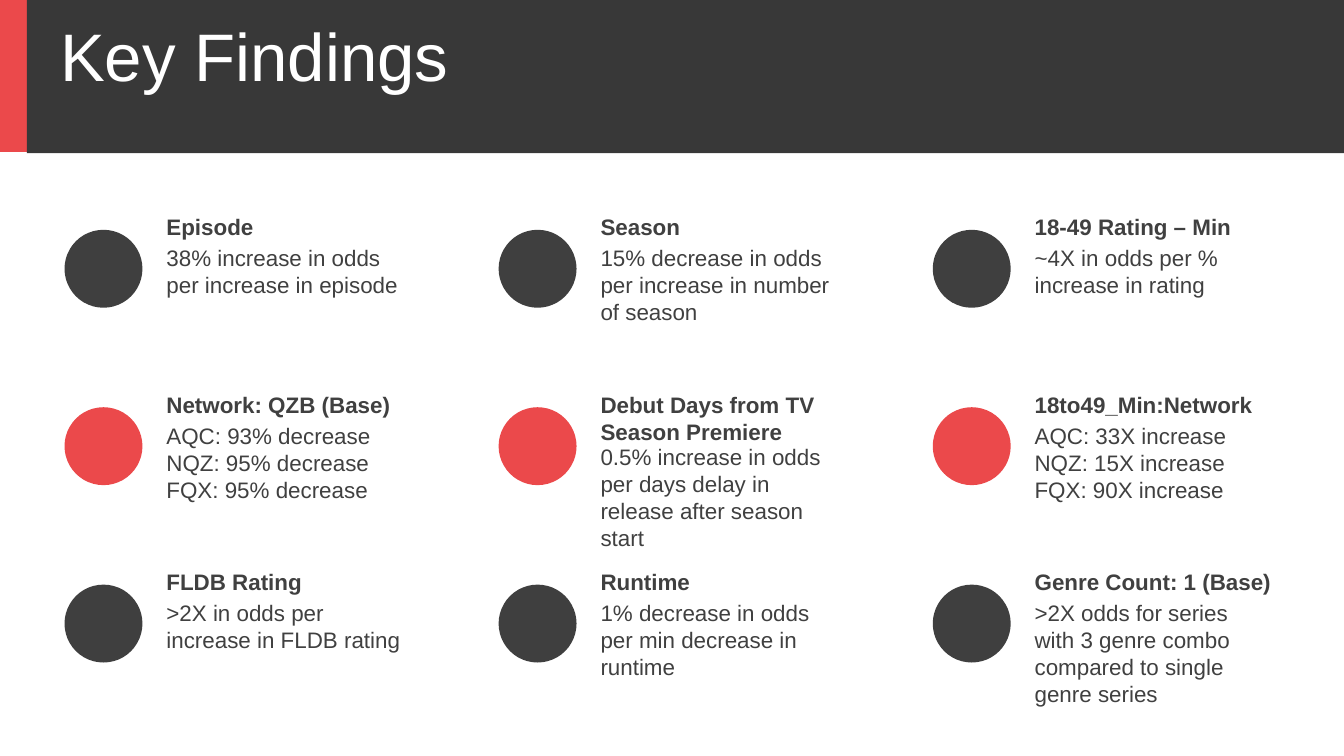
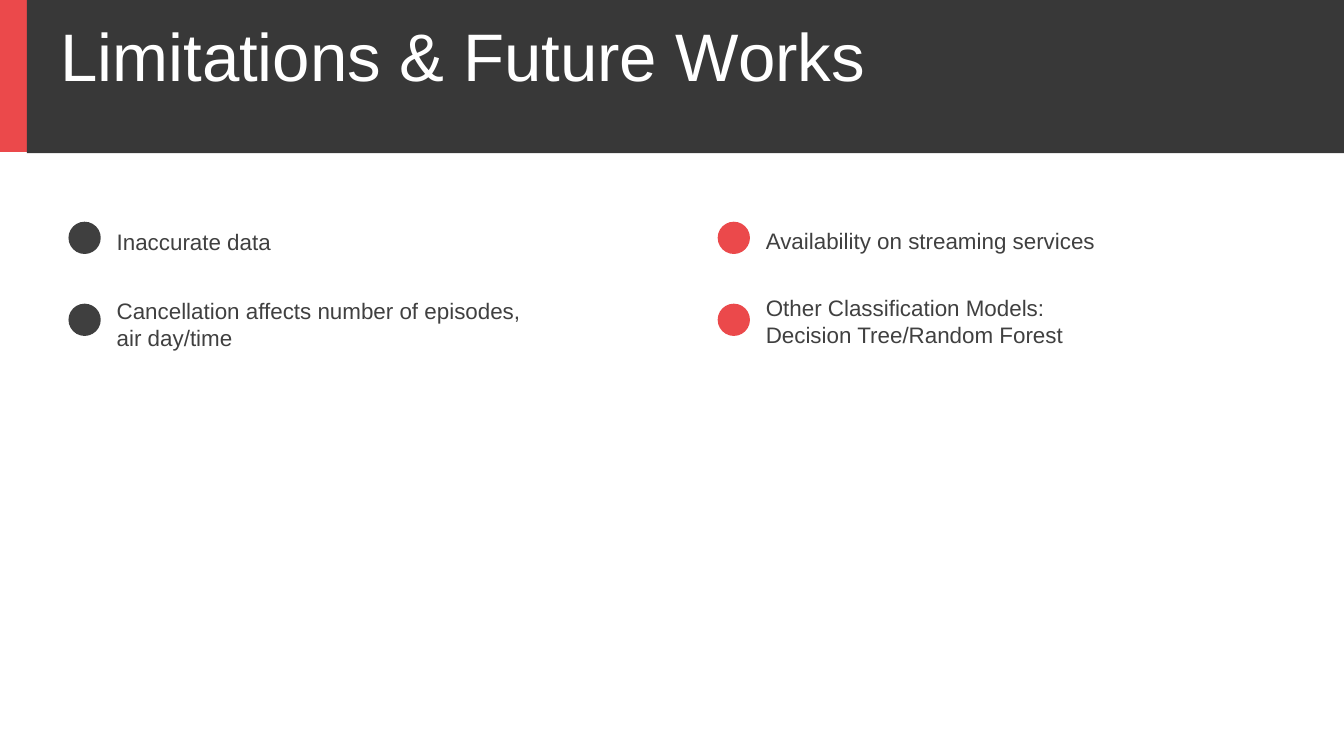
from dataclasses import dataclass

from lxml import etree
from pptx import Presentation
from pptx.dml.color import RGBColor
from pptx.enum import shapes, text
from pptx.oxml.ns import qn
from pptx.util import Inches, Pt


@dataclass(frozen=True)
class Theme:
    accent: str = "EB494B"
    band: str = "383838"
    dark: str = "3F3F3F"
    body: str = "404040"
    white: str = "FFFFFF"
    font: str = "Arial"
    title_size: int = 36
    body_size: int = 12


THEME = Theme()
RECT = shapes.MSO_SHAPE.RECTANGLE
OVAL = shapes.MSO_SHAPE.OVAL
TOP, MIDDLE = text.MSO_ANCHOR.TOP, text.MSO_ANCHOR.MIDDLE

# Each row: heading, heading lines, body, body lines
FINDINGS = [
    [("Episode", 1, "38% increase in odds per increase in episode", 2),
     ("Season", 1, "15% decrease in odds per increase in number of season", 3),
     ("18-49 Rating – Min", 1, "~4X in odds per % increase in rating", 2)],
    [("Network: QZB (Base)", 1,
      "AQC: 93% decrease\nNQZ: 95% decrease\nFQX: 95% decrease", 3),
     ("Debut Days from TV Season Premiere", 2,
      "0.5% increase in odds per days delay in release after season start", 4),
     ("18to49_Min:Network", 1,
      "AQC: 33X increase\nNQZ: 15X increase\nFQX: 90X increase", 3)],
    [("FLDB Rating", 1, ">2X in odds per increase in FLDB rating", 2),
     ("Runtime", 1, "1% decrease in odds per min decrease in runtime", 3),
     ("Genre Count: 1 (Base)", 1,
      ">2X odds for series with 3 genre combo compared to single genre series", 4)],
]

# Each column: left edge, dot colour, (text top, text, lines) per point
POINTS = [
    (0.51, THEME.dark, [
        (1.65, "Inaccurate data", 1),
        (2.16, "Cancellation affects number of episodes,\nair day/time", 2)]),
    (5.34, THEME.accent, [
        (1.64, "Availability on streaming services", 1),
        (2.14, "Other Classification Models:\nDecision Tree/Random Forest", 2)]),
]


def add_filled(slide, kind, x, y, w, h, color):
    sp = slide.shapes.add_shape(kind, Inches(x), Inches(y), Inches(w), Inches(h))
    sp.shadow.inherit = False
    sp.fill.solid()
    sp.fill.fore_color.rgb = RGBColor.from_string(color)
    sp.line.fill.background()
    return sp


def add_text(parent, content, x, y, w, h, size=THEME.body_size,
             color=THEME.body, bold=False, anchor=TOP, grow=True):
    sp = parent.shapes.add_textbox(Inches(x), Inches(y), Inches(w), Inches(h))
    tf = sp.text_frame
    tf.text = content
    tf.word_wrap = True
    tf.vertical_anchor = anchor
    if grow:
        tf.auto_size = text.MSO_AUTO_SIZE.SHAPE_TO_FIT_TEXT
    for p in tf.paragraphs:
        for r in p.runs:
            r.font.name = THEME.font
            r.font.size = Pt(size)
            r.font.bold = bold
            r.font.color.rgb = RGBColor.from_string(color)
    return sp


def text_height(lines):
    """Height in inches of a body-size text box with its insets."""
    return round(0.1 + 0.2 * lines, 2)


def set_relative_space_before(p, percent):
    space = etree.SubElement(p._p.get_or_add_pPr(), qn("a:spcBef"))
    etree.SubElement(space, qn("a:spcPct"), val=str(percent * 1000))


def add_titled_slide(prs, title):
    slide = prs.slides.add_slide(prs.slide_layouts[6])
    add_filled(slide, RECT, 0, 0, 0.21, 1.13, THEME.accent)
    add_filled(slide, RECT, 0.2, 0, 9.8, 1.14, THEME.band)
    sp = add_text(slide, title, 0.35, 0.09, 7.87, 0.63, THEME.title_size,
                  THEME.white, anchor=MIDDLE, grow=False)
    set_relative_space_before(sp.text_frame.paragraphs[0], 20)
    return slide


def add_finding(slide, x, y, color, finding):
    """Dot with a grouped heading and body to its right."""
    heading, heading_lines, body, body_lines = finding
    add_filled(slide, OVAL, x, y, 0.58, 0.58, color)
    group = slide.shapes.add_group_shape()
    left, top = x + 0.66, y - 0.17
    body_top = top + 0.23 + 0.16 * (heading_lines - 1)
    add_text(group, body, left, body_top, 1.97, text_height(body_lines))
    add_text(group, heading, left, top, 1.97, text_height(heading_lines), bold=True)


def add_point(slide, x, y, color, point):
    """Small dot with a text to its right."""
    text_top, content, lines = point
    add_filled(slide, OVAL, x, y, 0.24, 0.24, color)
    add_text(slide, content, x + 0.26, text_top, 3.93, text_height(lines),
             anchor=MIDDLE)


def build_findings(prs):
    slide = add_titled_slide(prs, "Key Findings")
    for row, findings in enumerate(FINDINGS):
        color = THEME.accent if row % 2 else THEME.dark
        for col, finding in enumerate(findings):
            add_finding(slide, 0.48 + 3.23 * col, 1.71 + 1.32 * row, color, finding)


def build_limitations(prs):
    slide = add_titled_slide(prs, "Limitations & Future Works")
    for x, color, points in POINTS:
        for row, point in enumerate(points):
            add_point(slide, x, 1.65 + 0.61 * row, color, point)


def main():
    prs = Presentation()
    prs.slide_width = Inches(10)
    prs.slide_height = Inches(10 * 9 / 16)
    build_findings(prs)
    build_limitations(prs)
    prs.save("out.pptx")


if __name__ == "__main__":
    main()
